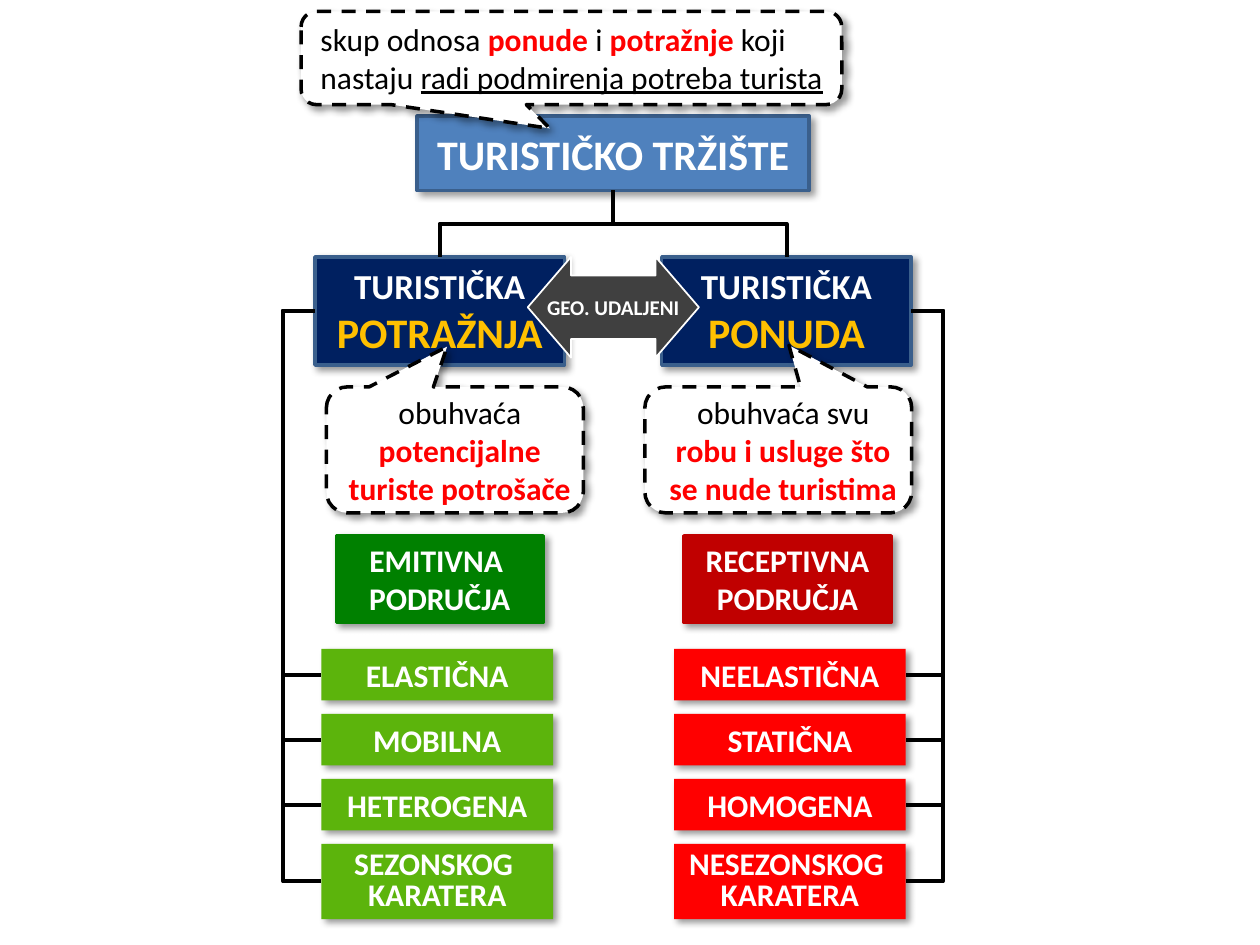
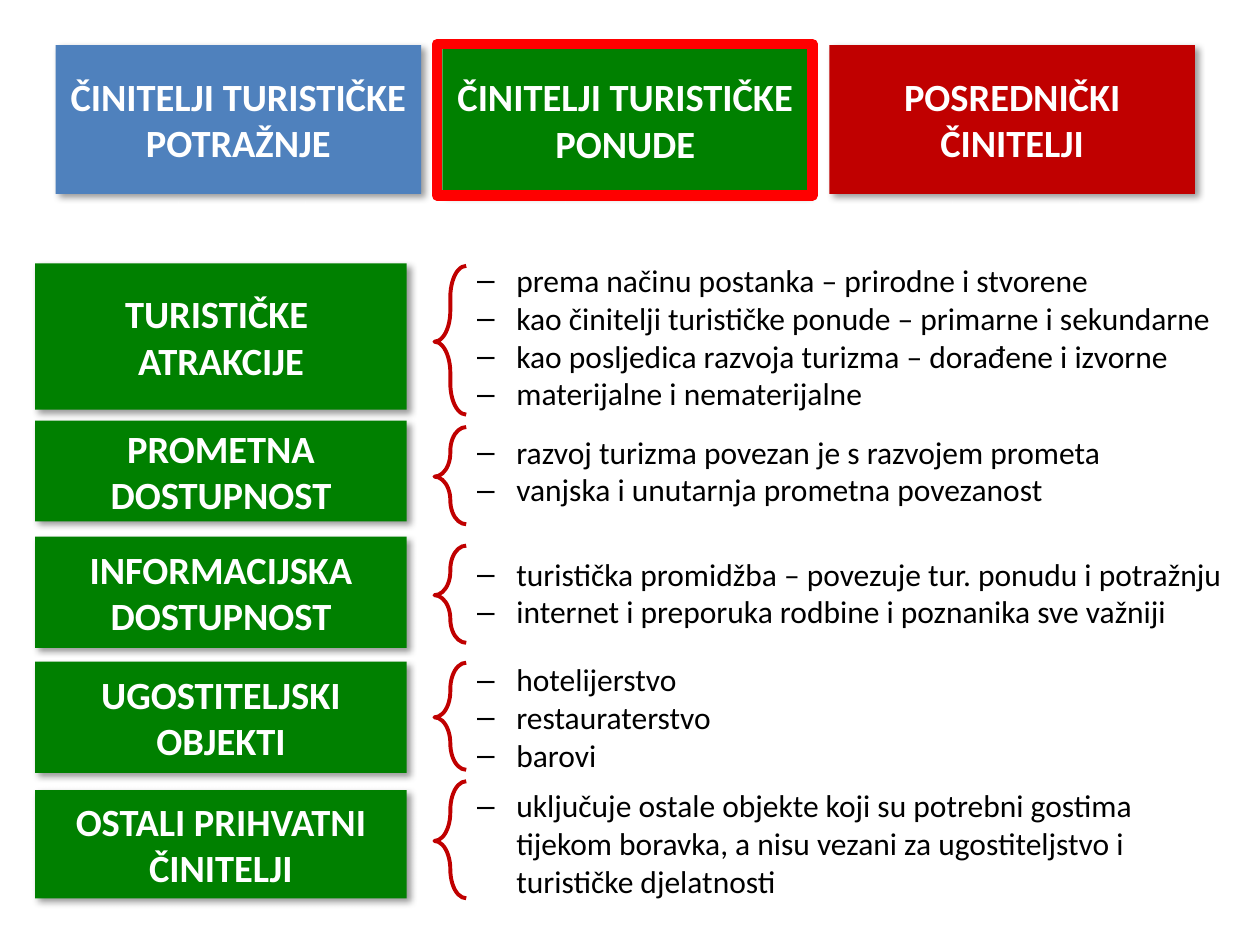
"""Build two slides on the tourism market and the factors of tourism supply."""
from dataclasses import dataclass

from lxml import etree
from pptx import Presentation
from pptx import util as u
from pptx.dml.color import RGBColor
from pptx.enum import dml, shapes, text
from pptx.oxml.ns import qn


@dataclass(frozen=True)
class Theme:
    font: str = "Calibri"
    white: str = "FFFFFF"
    black: str = "000000"
    blue: str = "4F81BD"
    outline: str = "3A5F8C"
    navy: str = "002060"
    gold: str = "FFC000"
    green: str = "008000"
    lime: str = "5CB40C"
    crimson: str = "C00000"
    red: str = "FF0000"
    gray: str = "404040"
    heading: int = 24
    factor: int = 22
    side: int = 20
    body: int = 18
    small: int = 12


theme = Theme()


def paint(shape, fill=None, line=None, width=2.0, dash=False, shadow=True):
    """Set the fill, the outline and the soft shadow of a shape."""
    if fill:
        shape.fill.solid()
        shape.fill.fore_color.rgb = RGBColor.from_string(fill)
    else:
        shape.fill.background()
    if line:
        shape.line.color.rgb = RGBColor.from_string(line)
        shape.line.width = u.Pt(width)
    else:
        shape.line.fill.background()
    if dash:
        shape.line.dash_style = dml.MSO_LINE.DASH
    shape.shadow.inherit = False
    if shadow:
        effects = shape._element.spPr.find(qn("a:effectLst"))
        outer = etree.SubElement(effects, qn("a:outerShdw"), blurRad=str(u.Pt(4)),
                                 dist=str(u.Pt(3)), dir="2700000", algn="tl", rotWithShape="0")
        color = etree.SubElement(outer, qn("a:srgbClr"), val=theme.black)
        etree.SubElement(color, qn("a:alpha"), val="40000")


def write(shape, paragraphs, size=theme.body, color=theme.white, bold=True, align="CENTER",
          anchor="MIDDLE", wrap=True, insets=(0.25, 0.13, 0.25, 0.13), spacing=None, bullet=None):
    """Fill a shape with paragraphs, each a string or a list of (text, format) spans."""
    frame = shape.text_frame
    frame.word_wrap = wrap
    frame.auto_size = text.MSO_AUTO_SIZE.NONE
    frame.vertical_anchor = getattr(text.MSO_ANCHOR, anchor)
    frame.margin_left, frame.margin_top, frame.margin_right, frame.margin_bottom = map(u.Cm, insets)
    for index, spans in enumerate(paragraphs):
        para = frame.add_paragraph() if index else frame.paragraphs[0]
        para.alignment = getattr(text.PP_ALIGN, align)
        para.space_before = u.Pt(0)
        if spacing:
            para.line_spacing = u.Pt(spacing)
        if bullet:
            properties = para._p.get_or_add_pPr()
            properties.set("marL", str(u.Cm(0.79)))
            properties.set("indent", str(u.Cm(-0.79)))
            etree.SubElement(properties, qn("a:buFont"), typeface="Arial")
            etree.SubElement(properties, qn("a:buChar"), char=bullet)
        for words, style in [(spans, {})] if isinstance(spans, str) else spans:
            if words == "\n":
                para.add_line_break()
                continue
            span = para.add_run()
            span.text = words
            span.font.name = theme.font
            span.font.size = u.Pt(style.get("size", size))
            span.font.bold = style.get("bold", bold)
            span.font.underline = style.get("underline", False)
            span.font.color.rgb = RGBColor.from_string(style.get("color", color))


deck = Presentation()
deck.slide_width, deck.slide_height = u.Cm(25.4), u.Cm(19.05)
kinds = shapes.MSO_SHAPE
elbow = shapes.MSO_CONNECTOR.ELBOW
key = {"color": theme.red, "bold": True}

page = deck.slides.add_slide(deck.slide_layouts[5])
market = page.shapes.title
market.left, market.top, market.width, market.height = map(u.Cm, (8.41, 2.34, 7.9, 1.5))
paint(market, theme.blue, theme.outline)
write(market, ["TURISTIČKO TRŽIŠTE"], size=theme.heading, wrap=False)

sides = [
    dict(name="POTRAŽNJA", left=6.35, region_left=6.78, region=["EMITIVNA ", "PODRUČJA"],
         region_color=theme.green, trait_left=6.48, trait_color=theme.lime, site=1, turn=90,
         traits=[["ELASTIČNA"], ["MOBILNA"], ["HETEROGENA"], ["SEZONSKOG ", "KARATERA"]]),
    dict(name="PONUDA", left=13.34, region_left=13.79, region=["RECEPTIVNA", "PODRUČJA"],
         region_color=theme.crimson, trait_left=13.59, trait_color=theme.red, site=3, turn=270,
         traits=[["NEELASTIČNA"], ["STATIČNA"], ["HOMOGENA"], ["NESEZONSKOG ", "KARATERA"]]),
]
for side in sides:
    box = page.shapes.add_shape(kinds.RECTANGLE, u.Cm(side["left"]), u.Cm(5.18), u.Cm(5.03), u.Cm(2.18))
    paint(box, theme.navy, theme.outline)
    write(box, ["TURISTIČKA", [(side["name"], {"size": theme.heading, "color": theme.gold})]],
          size=theme.side, wrap=False)

    start_x, start_y = market.left + market.width // 2, market.top + market.height
    end_x, end_y = box.left + box.width // 2, box.top
    branch = page.shapes.add_connector(elbow, start_x, start_y, end_x, end_y)
    branch.begin_connect(market, 2)
    branch.end_connect(box, 0)
    branch.width, branch.height = end_y - start_y, abs(end_x - start_x)
    branch.left = (start_x + end_x - branch.width) // 2
    branch.top = (start_y + end_y - branch.height) // 2
    transform = branch._element.spPr.find(qn("a:xfrm"))
    transform.set("rot", str(side["turn"] * 60000))
    transform.set("flipH", "1" if side["turn"] == 270 else "0")

    region = page.shapes.add_shape(kinds.RECTANGLE, u.Cm(side["region_left"]), u.Cm(10.8),
                                   u.Cm(4.17), u.Cm(1.75))
    paint(region, side["region_color"], side["region_color"])
    write(region, side["region"], wrap=False)

    for row, words in enumerate(side["traits"]):
        tall = len(words) > 1
        trait = page.shapes.add_shape(kinds.RECTANGLE, u.Cm(side["trait_left"]), u.Cm(13.08 + 1.31 * row),
                                      u.Cm(4.67), u.Cm(1.52 if tall else 1.04))
        paint(trait, side["trait_color"])
        write(trait, words, wrap=False, spacing=18 if tall else None)
        link = page.shapes.add_connector(elbow, 0, 0, u.Cm(1), u.Cm(1))
        link.begin_connect(box, side["site"])
        link.end_connect(trait, side["site"])
        reach = -round(u.Cm(0.64) / link.width * 100000)
        etree.SubElement(link._element.spPr.find(".//" + qn("a:avLst")), qn("a:gd"),
                         name="adj1", fmla=f"val {reach}")

callouts = [
    ((6.07, 0.23, 10.9, 1.88), (-0.04, 0.755), "LEFT",
     [("skup odnosa ", {}), ("ponude ", key), ("i ", {}), ("potražnje ", key), ("koji nastaju ", {}),
      ("radi podmirenja potreba turista", {"underline": True})]),
    ((6.58, 7.8, 5.18, 2.54), (-0.03, -0.82), "CENTER",
     [("obuhvaća ", {}), ("potencijalne turiste potrošače", key)]),
    ((13, 7.8, 5.38, 2.54), (0.04, -0.83), "CENTER",
     [("obuhvaća svu ", {}), ("robu i usluge što se nude turistima", key)]),
]
for place, tip, align, spans in callouts:
    callout = page.shapes.add_shape(kinds.ROUNDED_RECTANGULAR_CALLOUT, *map(u.Cm, place))
    callout.adjustments[0], callout.adjustments[1] = tip
    paint(callout, theme.white, theme.black, dash=True)
    write(callout, [spans], color=theme.black, bold=False, align=align, insets=(0.3, 0.1, 0.1, 0.1))

distance = page.shapes.add_shape(kinds.LEFT_RIGHT_ARROW, *map(u.Cm, (10.64, 5.18, 3.45, 2.03)))
distance.adjustments[0], distance.adjustments[1] = 0.63, 0.43
paint(distance, theme.gray, theme.white, width=1, shadow=False)
write(distance, ["GEO. UDALJENI"], size=theme.small, wrap=False)

for shape in page.shapes:
    if shape.shape_type == shapes.MSO_SHAPE_TYPE.LINE or shape._element.tag == qn("p:cxnSp"):
        shape.line.color.rgb = RGBColor.from_string(theme.black)
        shape.line.width = u.Pt(2.25)
        etree.SubElement(shape._element.spPr, qn("a:effectLst"))

page = deck.slides.add_slide(deck.slide_layouts[1])
tight = (0.1, 0, 0.1, 0)
groups = [
    ("ČINITELJI TURISTIČKE POTRAŽNJE", theme.blue),
    ("ČINITELJI TURISTIČKE PONUDE", theme.green),
    ("POSREDNIČKI ČINITELJI", theme.crimson),
]
for column, (words, color) in enumerate(groups):
    place = [u.Cm(n) for n in (1.12 + 7.8 * column, 0.91, 7.37, 3)]
    if column == 1:
        box = page.shapes.title
        box.left, box.top, box.width, box.height = place
    else:
        box = page.shapes.add_shape(kinds.RECTANGLE, *place)
    paint(box, color)
    write(box, [words], size=theme.factor, insets=tight)

factors = [
    ([("TURISTIČKE ", {}), ("\n", {}), ("ATRAKCIJE", {})], (5.31, 2.95), (5.36, 3), (5.13, 3.33),
     ["prema načinu postanka – prirodne i stvorene",
      "kao činitelji turističke ponude – primarne i sekundarne",
      "kao posljedica razvoja turizma – dorađene i izvorne",
      "materijalne i nematerijalne"]),
    ("PROMETNA DOSTUPNOST", (8.48, 2.03), (8.61, 1.96), (8.59, 1.8),
     ["razvoj turizma povezan je s razvojem prometa",
      "vanjska i unutarnja prometna povezanost"]),
    ("INFORMACIJSKA DOSTUPNOST", (10.82, 2.24), (11, 1.96), (11.05, 1.8),
     ["turistička promidžba – povezuje tur. ponudu i potražnju",
      "internet i preporuka rodbine i poznanika sve važniji"]),
    ("UGOSTITELJSKI OBJEKTI", (13.34, 2.24), (13.36, 2.16), (13.18, 2.57),
     ["hotelijerstvo", "restauraterstvo", "barovi"]),
    ("OSTALI PRIHVATNI ČINITELJI", (15.93, 2.18), (15.75, 2.36), (15.72, 2.57),
     ["uključuje ostale objekte koji su potrebni gostima tijekom boravka, "
      "a nisu vezani za ugostiteljstvo i turističke djelatnosti"]),
]
for row, (name, box_span, brace_span, list_span, items) in enumerate(factors):
    box = page.shapes.add_shape(kinds.RECTANGLE, u.Cm(0.71), u.Cm(box_span[0]), u.Cm(7.49), u.Cm(box_span[1]))
    paint(box, theme.green)
    write(box, [name], size=theme.factor, insets=tight)

    brace = page.shapes.add_shape(kinds.RIGHT_BRACE, u.Cm(8.76), u.Cm(brace_span[0]),
                                  u.Cm(0.64), u.Cm(brace_span[1]))
    brace._element.spPr.find(qn("a:xfrm")).set("flipH", "1")
    brace.adjustments[0], brace.adjustments[1] = 0.98, 0.51
    paint(brace, line=theme.crimson, width=2.25, shadow=False)

    place = [u.Cm(n) for n in (9.37, list_span[0], 15.77, list_span[1])]
    if row == 0:
        listing = page.placeholders[1]
        listing.left, listing.top, listing.width, listing.height = place
    else:
        listing = page.shapes.add_textbox(*place)
    write(listing, items, color=theme.black, bold=False, align="LEFT", anchor="TOP", bullet="–")

highlight = page.shapes.add_shape(kinds.RECTANGLE, *map(u.Cm, (8.81, 0.89, 7.57, 3.05)))
paint(highlight, line=theme.red, width=6, shadow=False)

deck.save("out.pptx")
